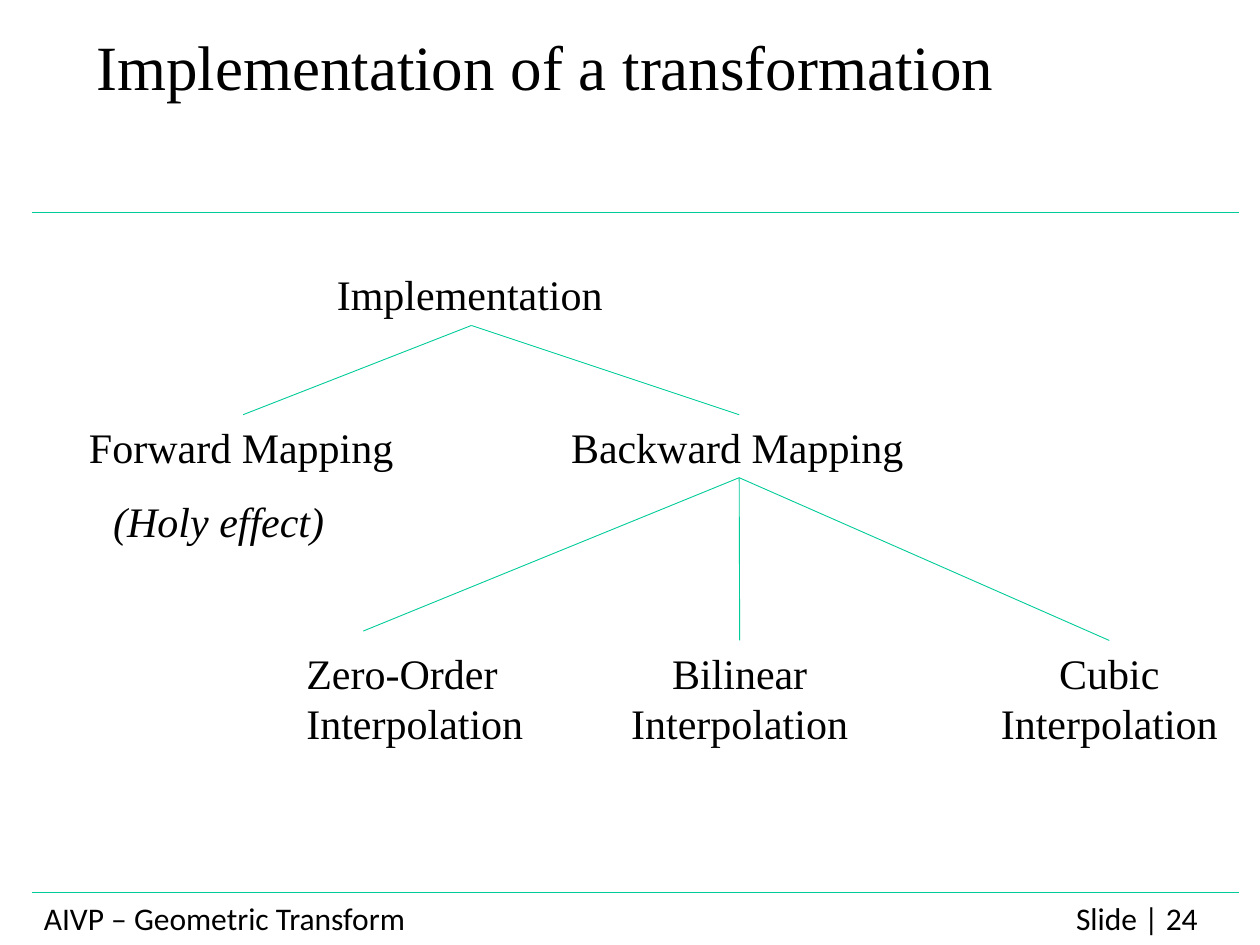
from lxml import etree
from pptx import Presentation
from pptx import util as u
from pptx.dml.color import RGBColor
from pptx.enum import shapes, text
from pptx.oxml.ns import qn

COLOURS = {"ink": "000000", "branch": "00CC99"}
SERIF, SANS = "Times New Roman", "Calibri"

deck = Presentation()
deck.slide_width, deck.slide_height = u.Inches(10), u.Inches(7.5)
CELL = deck.slide_width / 120
page = deck.slides.add_slide(deck.slide_layouts[5])


def write(box, lines, size, font, italic=None):
    frame = box.text_frame
    frame.text = "\n".join(lines)
    for para in frame.paragraphs:
        para.font.size = u.Pt(size)
        para.font.name = font
        para.font.italic = italic
        para.font.color.rgb = RGBColor.from_string(COLOURS["ink"])
    return frame


def draw_line(*ends):
    line = page.shapes.add_connector(
        shapes.MSO_CONNECTOR.STRAIGHT, *[round(end * CELL) for end in ends])
    line.line.color.rgb = RGBColor.from_string(COLOURS["branch"])
    line.line.width = u.Pt(0.5)
    etree.SubElement(line._element.spPr, qn("a:effectLst"))
    return line


for row in (85, 20.25):
    draw_line(3, row, 118, row)

title = page.shapes.title
title.left, title.top, title.width, title.height = [
    round(n * CELL) for n in (8, 2, 108, 18.4)]
frame = write(title, ["Implementation of a transformation"], 36, SERIF)
frame.vertical_anchor = text.MSO_ANCHOR.TOP
frame.auto_size = text.MSO_AUTO_SIZE.NONE
frame.paragraphs[0].alignment = text.PP_ALIGN.LEFT
frame.paragraphs[0].space_before = u.Pt(7.2)

labels = [
    ("footer", ["AIVP – Geometric Transform"], 3, 85, 38.6, 4.8),
    ("number", ["Slide | 24"], 101.3, 85, 14.6, 4.8),
    ("root", ["Implementation"], 30.9, 25, 28, 6),
    ("forward", ["Forward Mapping"], 7.3, 39.5, 31.7, 6),
    ("backward", ["Backward Mapping"], 53.2, 39.5, 34.4, 6),
    ("zero", ["Zero-Order", "Interpolation"], 28, 61, 23.3, 10.9),
    ("bilinear", ["Bilinear", "Interpolation"], 58.8, 61, 23.3, 10.9),
    ("cubic", ["Cubic", "Interpolation"], 94, 61, 23.3, 10.9),
    ("effect", ["(Holy effect)"], 9.6, 46.6, 22.7, 6),
]
boxes = {}
for name, lines, *place in labels:
    box = page.shapes.add_textbox(*[round(n * CELL) for n in place])
    boxes[name] = box
    if name in ("footer", "number"):
        frame = write(box, lines, 18, SANS)
    else:
        frame = write(box, lines, 24, SERIF, name == "effect" or None)
        frame.vertical_anchor = text.MSO_ANCHOR.MIDDLE
    frame.word_wrap = False
    frame.auto_size = text.MSO_AUTO_SIZE.SHAPE_TO_FIT_TEXT
    if len(lines) == 2:
        for para in frame.paragraphs:
            para.alignment = text.PP_ALIGN.CENTER
boxes["zero"].text_frame.paragraphs[0].alignment = text.PP_ALIGN.LEFT

for parent, child in (("root", "forward"), ("root", "backward"),
                      ("backward", "bilinear"), ("backward", "cubic")):
    branch = draw_line(0, 0, 1, 1)
    branch.begin_connect(boxes[parent], 2)
    branch.end_connect(boxes[child], 0)
draw_line(70.4, 45.5, 34.6, 60.1).begin_connect(boxes["backward"], 2)

deck.save("out.pptx")
